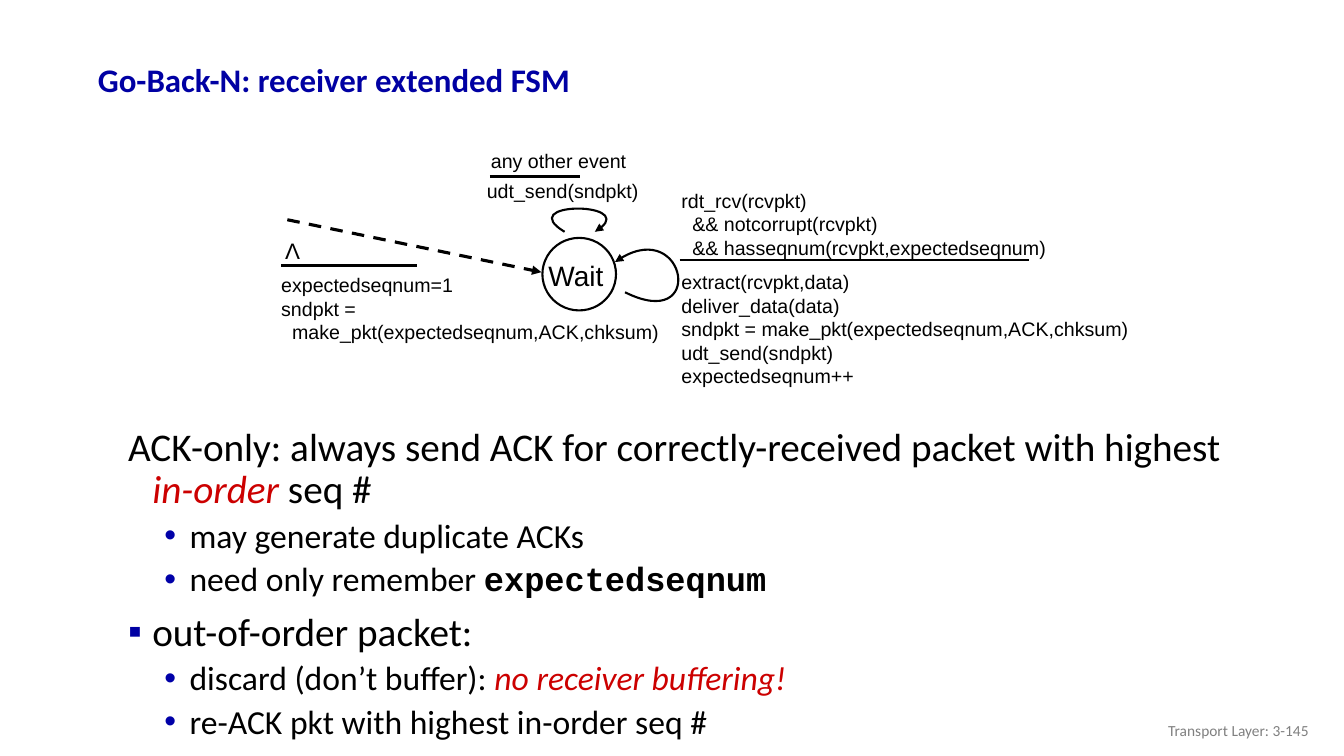
from lxml import etree
from pptx import Presentation
from pptx import util as u
from pptx.dml.color import RGBColor
from pptx.enum import dml, shapes, text
from pptx.oxml.ns import qn

THEME = {
    "title": "0000A3", "bullet": "0000A8", "accent": "CC0000",
    "ink": "000000", "paper": "FFFFFF", "footer": "808080",
    "title_pt": 23.5, "topic_pt": 28, "detail_pt": 24,
    "code_pt": 14, "lambda_pt": 16, "state_pt": 20, "footer_pt": 11,
    "thin": 1.5, "thick": 2.25,
    "prose": "Calibri", "diagram": "Arial", "mono": "Courier New",
}
# The slide is a grid of 0.1 inch cells
CELL = u.Inches(0.1)


def add_run(paragraph, words, size, face, colour="ink", bold=False, italic=False):
    run = paragraph.add_run()
    run.text = words
    run.font.size = u.Pt(THEME[size])
    run.font.name = THEME[face]
    run.font.bold, run.font.italic = bold, italic
    run.font.color.rgb = RGBColor.from_string(THEME[colour])


def stroke(outline, weight, arrow=False, dashed=False):
    outline.line.color.rgb = RGBColor.from_string(THEME["ink"])
    outline.line.width = u.Pt(THEME[weight])
    if dashed:
        outline.line.dash_style = dml.MSO_LINE.DASH
    properties = outline._element.spPr
    if arrow:
        etree.SubElement(properties.find(qn("a:ln")), qn("a:tailEnd"), type="triangle")
    etree.SubElement(properties, qn("a:effectLst"))


prs = Presentation()
prs.slide_width, prs.slide_height = u.Inches(13.33), u.Inches(7.5)
slide = prs.slides.add_slide(prs.slide_layouts[1])
title, body = slide.placeholders

# Title
title.left, title.top, title.width, title.height = [
    int(n * CELL) for n in (8.7, 3.2, 121.4, 9.8)]
title.text_frame.vertical_anchor = text.MSO_ANCHOR.MIDDLE
title.text_frame.auto_size = text.MSO_AUTO_SIZE.NONE
heading = title.text_frame.paragraphs[0]
heading.alignment = text.PP_ALIGN.LEFT
heading.line_spacing = 0.9
add_run(heading, "Go-Back-N: receiver extended FSM", "title_pt", "prose", "title", bold=True)

# Receiver state
state = slide.shapes.add_shape(
    shapes.MSO_SHAPE.OVAL, *[int(n * CELL) for n in (53.8, 23.6, 7.3, 7.2)])
state.fill.solid()
state.fill.fore_color.rgb = RGBColor.from_string(THEME["paper"])
stroke(state, "thin")

# Start arrow and the rules between events and actions
for x1, y1, x2, y2, weight, is_start in [
    (28.5, 21.8, 53.7, 27, "thick", True),
    (67.4, 25.8, 102.1, 25.8, "thin", False),
    (48.6, 17.5, 57.5, 17.5, "thick", False),
    (27.9, 26.3, 41.4, 26.3, "thick", False),
]:
    rule = slide.shapes.add_connector(
        shapes.MSO_CONNECTOR.STRAIGHT, *[int(n * CELL) for n in (x1, y1, x2, y2)])
    stroke(rule, weight, arrow=is_start, dashed=is_start)

# Self-transitions: each loop is one cubic curve through its control points
for start, *controls in [
    [(61.8, 28.6), (70.2, 33.3), (68.3, 20.8), (61.2, 26.1)],
    [(56.1, 23.3), (51.1, 19.7), (63.7, 19.7), (58.6, 23.4)],
]:
    builder = slide.shapes.build_freeform(*start, scale=CELL)
    builder.add_line_segments(controls, close=False)
    loop = builder.convert_to_shape()
    segments = loop._element.xpath(".//a:lnTo")
    curve = etree.SubElement(segments[0].getparent(), qn("a:cubicBezTo"))
    for segment in segments:
        curve.append(segment[0])
        segment.getparent().remove(segment)
    loop.fill.background()
    stroke(loop, "thin", arrow=True)

# State name, events and actions
for left, top, width, height, size, lines in [
    (53.4, 25.2, 8.7, 3.7, "state_pt", ["Wait"]),
    (66.6, 18.2, 39, 6.1, "code_pt", [
        "rdt_rcv(rcvpkt)",
        "  && notcorrupt(rcvpkt)",
        "  && hasseqnum(rcvpkt,expectedseqnum)"]),
    (66.6, 26.3, 47.2, 9.4, "code_pt", [
        "extract(rcvpkt,data)",
        "deliver_data(data)",
        "sndpkt = make_pkt(expectedseqnum,ACK,chksum)",
        "udt_send(sndpkt)",
        "expectedseqnum++"]),
    (47.3, 17.3, 17.7, 3.4, "code_pt", ["udt_send(sndpkt)"]),
    (47.7, 14.3, 18.1, 2.7, "code_pt", ["any other event"]),
    (26.9, 26.6, 39.8, 10.7, "code_pt", [
        "expectedseqnum=1",
        "sndpkt =",
        "  make_pkt(expectedseqnum,ACK,chksum)"]),
    (27.3, 23, 3.5, 3.6, "lambda_pt", ["Λ"]),
]:
    label = slide.shapes.add_textbox(
        *[int(n * CELL) for n in (left, top, width, height)]).text_frame
    label.word_wrap = size != "lambda_pt"
    for number, line in enumerate(lines):
        paragraph = label.add_paragraph() if number else label.paragraphs[0]
        add_run(paragraph, line, size, "diagram")

# Explanation: level, bullet, then runs of words and style
body.left, body.top, body.width, body.height = [
    int(n * CELL) for n in (10.2, 41.9, 112.8, 31.2)]
body.text_frame.auto_size = text.MSO_AUTO_SIZE.NONE
stress = {"colour": "accent", "italic": True}
points = [
    (0, None, [
        ("ACK-only: always send ACK for correctly-received packet with highest ", {}),
        ("in-order", stress), (" seq #", {})]),
    (1, "•", [("may generate duplicate ACKs", {})]),
    (1, "•", [("need only remember ", {}),
              ("expectedseqnum", {"face": "mono", "bold": True})]),
    (0, "▪", [("out-of-order packet:", {})]),
    (1, "•", [("discard (don’t buffer): ", {}), ("no receiver buffering!", stress)]),
    (1, "•", [("re-ACK pkt with highest in-order seq #", {})]),
]
for number, (level, bullet, runs) in enumerate(points):
    point = body.text_frame.add_paragraph() if number else body.text_frame.paragraphs[0]
    point.level = level
    point.line_spacing = 0.9
    point.space_before = u.Pt((10, 5)[level] if number else 0)
    layout = point._p.get_or_add_pPr()
    layout.set("marL", str(u.Inches((0.39, 0.76)[level])))
    layout.set("indent", str(u.Inches((-0.24, -0.25)[level])))
    if bullet:
        tint = etree.SubElement(layout, qn("a:buClr"))
        etree.SubElement(tint, qn("a:srgbClr"), val=THEME[("title", "bullet")[level]])
        etree.SubElement(layout, qn("a:buFont"), typeface=THEME["diagram"])
        etree.SubElement(layout, qn("a:buChar"), char=bullet)
    else:
        etree.SubElement(layout, qn("a:buNone"))
    for words, style in runs:
        add_run(point, words, ("topic_pt", "detail_pt")[level], **{"face": "prose", **style})

# Footer
footer = slide.shapes.add_textbox(
    *[int(n * CELL) for n in (100.8, 70.5, 30, 4)]).text_frame
footer.word_wrap = True
footer.vertical_anchor = text.MSO_ANCHOR.MIDDLE
footer.paragraphs[0].alignment = text.PP_ALIGN.RIGHT
add_run(footer.paragraphs[0], "Transport Layer: 3-145", "footer_pt", "prose", "footer")

prs.save("out.pptx")
